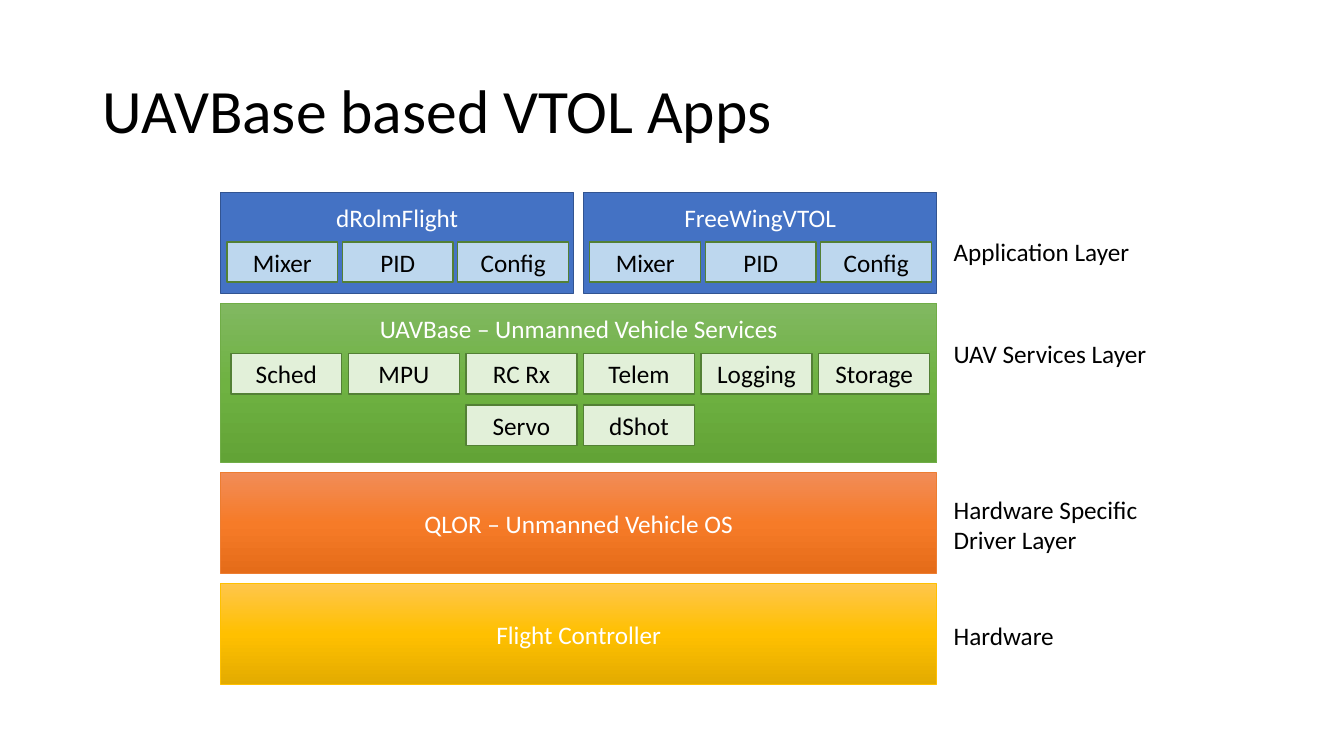
from copy import deepcopy
from dataclasses import dataclass

from pptx import Presentation
from pptx.dml.color import RGBColor
from pptx.enum.shapes import MSO_SHAPE
from pptx.enum.text import MSO_ANCHOR, PP_ALIGN
from pptx.oxml.ns import qn
from pptx.shapes.autoshape import Shape
from pptx.slide import Slide
from pptx.util import Inches, Pt

RECT = MSO_SHAPE.RECTANGLE
MIDDLE = MSO_ANCHOR.MIDDLE
LEFT, CENTER = PP_ALIGN.LEFT, PP_ALIGN.CENTER

BLACK = RGBColor(0x00, 0x00, 0x00)
WHITE = RGBColor(0xFF, 0xFF, 0xFF)
BLUE = RGBColor(0x44, 0x72, 0xC4)
BLUE_EDGE = RGBColor(0x32, 0x54, 0x91)
BLUE_PALE = RGBColor(0xBD, 0xD7, 0xEE)
GREEN_EDGE = RGBColor(0x53, 0x80, 0x35)
GREEN_PALE = RGBColor(0xE2, 0xF0, 0xD9)
GREEN = RGBColor(0x70, 0xAD, 0x47)
GREENS = (RGBColor(0x81, 0xB8, 0x61), RGBColor(0x6F, 0xB2, 0x42), RGBColor(0x62, 0xA3, 0x36))
ORANGE = RGBColor(0xED, 0x7D, 0x31)
ORANGES = (RGBColor(0xF1, 0x8C, 0x57), RGBColor(0xF6, 0x7B, 0x28), RGBColor(0xE5, 0x6C, 0x19))
GOLD = RGBColor(0xFF, 0xC0, 0x00)
GOLDS = (RGBColor(0xFF, 0xC6, 0x4B), GOLD, RGBColor(0xE3, 0xAB, 0x00))

FONT = "Calibri"

# Grid of the stack, in inches
STACK_X, STACK_Y, STACK_W = 2.19, 1.91, 7.1
GAP = 0.1
BAND_H, SERVICES_H = 1.0, 1.58
APP_W = (STACK_W - GAP) / 2
SERVICES_Y = STACK_Y + BAND_H + GAP
OS_Y = SERVICES_Y + SERVICES_H + GAP
HARDWARE_Y = OS_Y + BAND_H + GAP
CHIP_W, CHIP_H = 1.1, 0.4
APP_PITCH = (APP_W - CHIP_W - 0.11) / 2
SERVICE_PITCH = (STACK_W - CHIP_W - 0.17) / 5
SERVICE_ROW = 0.51
LABEL_X, LABEL_W = STACK_X + STACK_W + 0.07, 2.5


@dataclass(frozen=True)
class Box:
    x: float
    y: float
    w: float
    h: float


@dataclass(frozen=True)
class Band:
    y: float
    h: float
    shades: tuple[RGBColor, ...]
    edge: RGBColor
    text: str
    text_h: float


@dataclass(frozen=True)
class Label:
    text: str
    middle: float
    h: float = 0.4


@dataclass(frozen=True)
class ChipRow:
    names: tuple[str, ...]
    x: float
    y: float
    pitch: float
    fill: RGBColor


APPS = ("dRolmFlight", "FreeWingVTOL")
BANDS = (
    Band(SERVICES_Y, SERVICES_H, GREENS, GREEN, "UAVBase – Unmanned Vehicle Services", 0.5),
    Band(OS_Y, BAND_H, ORANGES, ORANGE, "QLOR – Unmanned Vehicle OS", BAND_H),
    Band(HARDWARE_Y, BAND_H, GOLDS, GOLD, "Flight Controller", BAND_H),
)
LABELS = (
    Label("Application Layer", 2.49),
    Label("UAV Services Layer", 3.51),
    Label("Hardware Specific Driver Layer", 5.2, 0.71),
    Label("Hardware", 6.3),
)
APP_CHIPS = ("Mixer", "PID", "Config")
SERVICES_X, CHIPS_Y = STACK_X + GAP, SERVICES_Y + 0.5
SERVICE_ROWS = (
    ChipRow(("Sched", "MPU", "RC Rx", "Telem", "Logging", "Storage"),
            SERVICES_X, CHIPS_Y, SERVICE_PITCH, GREEN_PALE),
    ChipRow(("Servo", "dShot"), SERVICES_X + 2 * SERVICE_PITCH,
            CHIPS_Y + SERVICE_ROW, SERVICE_PITCH, GREEN_PALE),
)


def write(sp: Shape, text: str, color: RGBColor, align: PP_ALIGN, size: int = 18) -> None:
    tf = sp.text_frame
    tf.word_wrap = True
    tf.vertical_anchor = MIDDLE
    p = tf.paragraphs[0]
    p.alignment = align
    r = p.add_run()
    r.text = text
    r.font.name, r.font.size, r.font.color.rgb = FONT, Pt(size), color


def add_rect(s: Slide, box: Box, edge: RGBColor, weight: float) -> Shape:
    sp = s.shapes.add_shape(RECT, Inches(box.x), Inches(box.y), Inches(box.w), Inches(box.h))
    sp.shadow.inherit = False
    sp.line.color.rgb = edge
    sp.line.width = Pt(weight)
    return sp


def add_text(s: Slide, box: Box, text: str, color: RGBColor, align: PP_ALIGN) -> None:
    sp = s.shapes.add_textbox(Inches(box.x), Inches(box.y), Inches(box.w), Inches(box.h))
    write(sp, text, color, align)


def fill_gradient(sp: Shape, shades: tuple[RGBColor, ...]) -> None:
    sp.fill.gradient()
    sp.fill.gradient_angle = 270
    stop_list = sp.fill._xPr.find(qn("a:gradFill")).find(qn("a:gsLst"))
    stop_list.append(deepcopy(stop_list[-1]))  # third stop
    for i, (stop, shade) in enumerate(zip(sp.fill.gradient_stops, shades)):
        stop.position = i / 2
        stop.color.rgb = shade


def add_band(s: Slide, band: Band) -> None:
    sp = add_rect(s, Box(STACK_X, band.y, STACK_W, band.h), band.edge, 0.5)
    fill_gradient(sp, band.shades)
    if band.text_h == band.h:
        write(sp, band.text, WHITE, CENTER)
    else:
        add_text(s, Box(STACK_X, band.y, STACK_W, band.text_h), band.text, WHITE, CENTER)


def add_chips(s: Slide, row: ChipRow) -> None:
    for col, name in enumerate(row.names):
        box = Box(row.x + col * row.pitch, row.y, CHIP_W, CHIP_H)
        sp = add_rect(s, box, GREEN_EDGE, 1)
        sp.fill.solid()
        sp.fill.fore_color.rgb = row.fill
        write(sp, name, BLACK, CENTER)


def add_app(s: Slide, col: int, name: str) -> None:
    x = STACK_X + col * (APP_W + GAP)
    sp = add_rect(s, Box(x, STACK_Y, APP_W, BAND_H), BLUE_EDGE, 1)
    sp.fill.solid()
    sp.fill.fore_color.rgb = BLUE
    add_text(s, Box(x, STACK_Y, APP_W, BAND_H / 2), name, WHITE, CENTER)
    add_chips(s, ChipRow(APP_CHIPS, x + 0.06, STACK_Y + 0.49, APP_PITCH, BLUE_PALE))


def main() -> None:
    prs = Presentation()
    prs.slide_width, prs.slide_height = Inches(13.33), Inches(7.5)
    s = prs.slides.add_slide(prs.slide_layouts[5])

    # Title
    title = s.shapes.title
    title.left, title.top = Inches(0.92), Inches(0.4)
    title.width, title.height = Inches(11.5), Inches(1.45)
    write(title, "UAVBase based VTOL Apps", BLACK, LEFT, 44)
    title.text_frame.paragraphs[0].line_spacing = 0.9

    # Layer stack
    for col, name in enumerate(APPS):
        add_app(s, col, name)
    for band in BANDS:
        add_band(s, band)
    for row in SERVICE_ROWS:
        add_chips(s, row)

    # Layer names on the right
    for label in LABELS:
        box = Box(LABEL_X, label.middle - label.h / 2, LABEL_W, label.h)
        add_text(s, box, label.text, BLACK, LEFT)

    prs.save("out.pptx")


if __name__ == "__main__":
    main()
